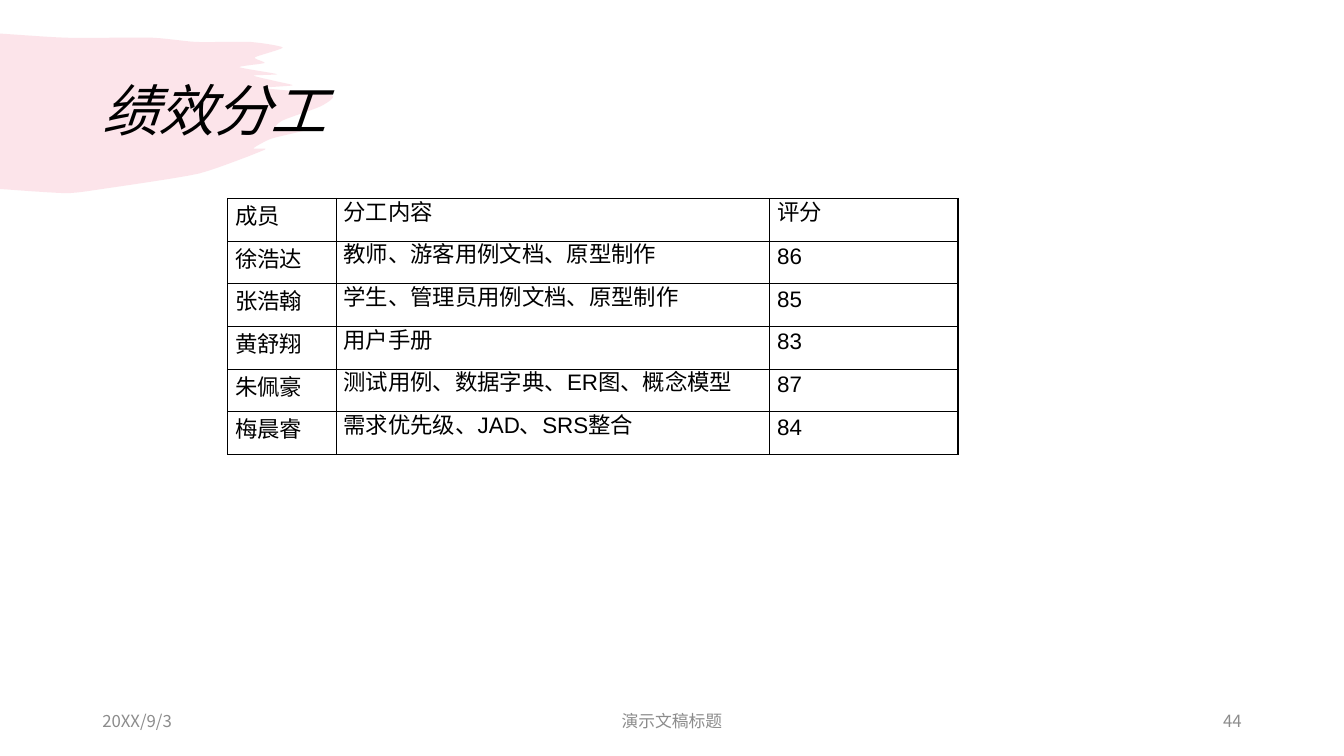
from lxml.etree import SubElement
from pptx import Presentation
from pptx.dml.color import RGBColor
from pptx.enum.text import MSO_ANCHOR, PP_ALIGN
from pptx.oxml.ns import qn
from pptx.util import Pt

SANS, ARIAL = "Noto Sans CJK SC", "Arial"
BLACK, GREY, PINK = "000000", "8C8C8C", "F07C98"

# Turning points of the brush stroke, in points
BRUSH = [
    (0, 24), (48, 27), (109, 27), (140, 30), (179, 30), (202, 34),
    (182, 41), (189, 45), (171, 48), (198, 53), (181, 54), (197, 58),
    (209, 61), (189, 63), (237, 68), (229, 76), (202, 86), (197, 92),
    (222, 92), (194, 99), (181, 106), (189, 107), (142, 124),
    (73, 135), (47, 138), (0, 135),
]

COLUMN_WIDTHS = [77.4, 309.6, 134.6]
ROW_HEIGHT = 30.5
DUTIES = [
    ("成员", "分工内容", "评分"),
    ("徐浩达", "教师、游客用例文档、原型制作", "86"),
    ("张浩翰", "学生、管理员用例文档、原型制作", "85"),
    ("黄舒翔", "用户手册", "83"),
    ("朱佩豪", "测试用例、数据字典、ER图、概念模型", "87"),
    ("梅晨睿", "需求优先级、JAD、SRS整合", "84"),
]


def color(hex_code):
    return RGBColor.from_string(hex_code)


def write(frame, text, size=12, font=SANS, fill=BLACK, italic=False,
          align=PP_ALIGN.LEFT, line=None, after=0):
    paragraph = frame.paragraphs[0]
    paragraph.alignment = align
    paragraph.space_after = Pt(after)
    if line:
        paragraph.line_spacing = line
    run = paragraph.add_run()
    run.text = text
    run.font.size, run.font.name, run.font.italic = Pt(size), font, italic
    run.font.color.rgb = color(fill)
    SubElement(run.font._element, qn("a:ea"), typeface=SANS)


def smooth(points, steps=6, pull=0.3):
    """Yield points on a soft curve through the given points."""
    padded = [points[0], *points, points[-1]]
    for before, start, end, after in zip(padded, padded[1:], padded[2:], padded[3:]):
        for step in range(1, steps + 1):
            t = step / steps
            blend = t * t * (3 - 2 * t)
            leave, arrive = t * (1 - t) ** 2, t * t * (t - 1)
            yield tuple(s + blend * (e - s) + pull * (leave * (e - b) + arrive * (a - s))
                        for b, s, e, a in zip(before, start, end, after))


class SlideBuilder:
    def __init__(self, slide, border=BLACK, border_width=1):
        self.shapes = slide.shapes
        self.border, self.border_width = border, border_width

    def brush(self, points, fill, opacity):
        x, y = points[0]
        builder = self.shapes.build_freeform(Pt(x), Pt(y))
        builder.add_line_segments([(Pt(px), Pt(py)) for px, py in smooth(points)])
        stroke = builder.convert_to_shape()
        stroke.shadow.inherit = False
        stroke.line.fill.background()
        stroke.fill.solid()
        stroke.fill.fore_color.rgb = color(fill)
        tint = stroke._element.spPr.find(qn("a:solidFill"))[0]
        SubElement(tint, qn("a:alpha"), val=str(opacity * 1000))

    def text(self, text, left, top, width, height, **style):
        frame = self.shapes.add_textbox(Pt(left), Pt(top), Pt(width), Pt(height)).text_frame
        frame.word_wrap = True
        frame.vertical_anchor = MSO_ANCHOR.MIDDLE
        write(frame, text, **style)

    def outline(self, cell):
        properties = cell._tc.get_or_add_tcPr()
        for side in ("lnL", "lnR", "lnT", "lnB"):
            edge = SubElement(properties, qn(f"a:{side}"), w=str(Pt(self.border_width)))
            solid = SubElement(edge, qn("a:solidFill"))
            SubElement(solid, qn("a:srgbClr"), val=self.border)

    def table(self, rows, left, top, widths, row_height, styles):
        frame = self.shapes.add_table(len(rows), len(widths), Pt(left), Pt(top),
                                      Pt(sum(widths)), Pt(row_height * len(rows)))
        table = frame.table
        table.first_row = table.horz_banding = False
        for column, width in zip(table.columns, widths):
            column.width = Pt(width)
        for row, texts in zip(table.rows, rows):
            row.height = Pt(row_height)
            for cell, text, style in zip(row.cells, texts, styles):
                self.outline(cell)
                cell.fill.background()
                cell.margin_left = cell.margin_right = Pt(5.4)
                cell.margin_top = cell.margin_bottom = Pt(0)
                write(cell.text_frame, text, **style)


def main():
    deck = Presentation()
    deck.slide_width, deck.slide_height = Pt(960), Pt(540)
    page = SlideBuilder(deck.slides.add_slide(deck.slide_layouts[6]))

    # Brush stroke and title
    page.brush(BRUSH, PINK, 20)
    page.text("绩效分工", 66, 28.75, 828, 104.4, size=40, italic=True, line=0.9)

    # Footer: date, deck title, page number
    for text, left, width, align in [("20XX/9/3", 66, 216, PP_ALIGN.LEFT),
                                     ("演示文稿标题", 318, 324, PP_ALIGN.CENTER),
                                     ("44", 678, 216, PP_ALIGN.RIGHT)]:
        page.text(text, left, 500.5, width, 28.75, fill=GREY, align=align)

    # Members, duties and scores
    member = dict(size=16)
    detail = dict(size=16, font=ARIAL, align=PP_ALIGN.JUSTIFY, line=Pt(20), after=12)
    page.table(DUTIES, 162.7, 141.8, COLUMN_WIDTHS, ROW_HEIGHT, [member, detail, detail])

    deck.save("out.pptx")


if __name__ == "__main__":
    main()
